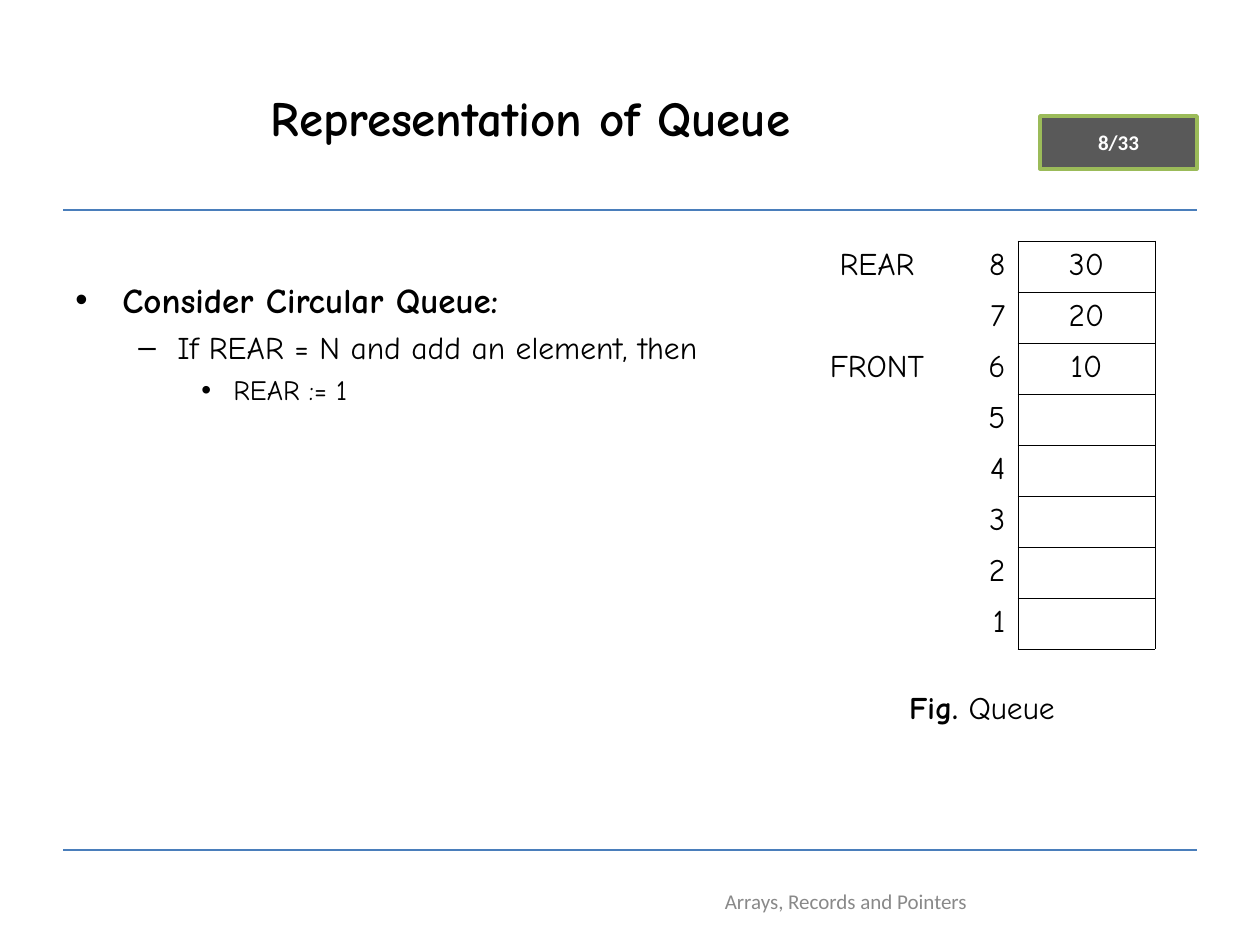
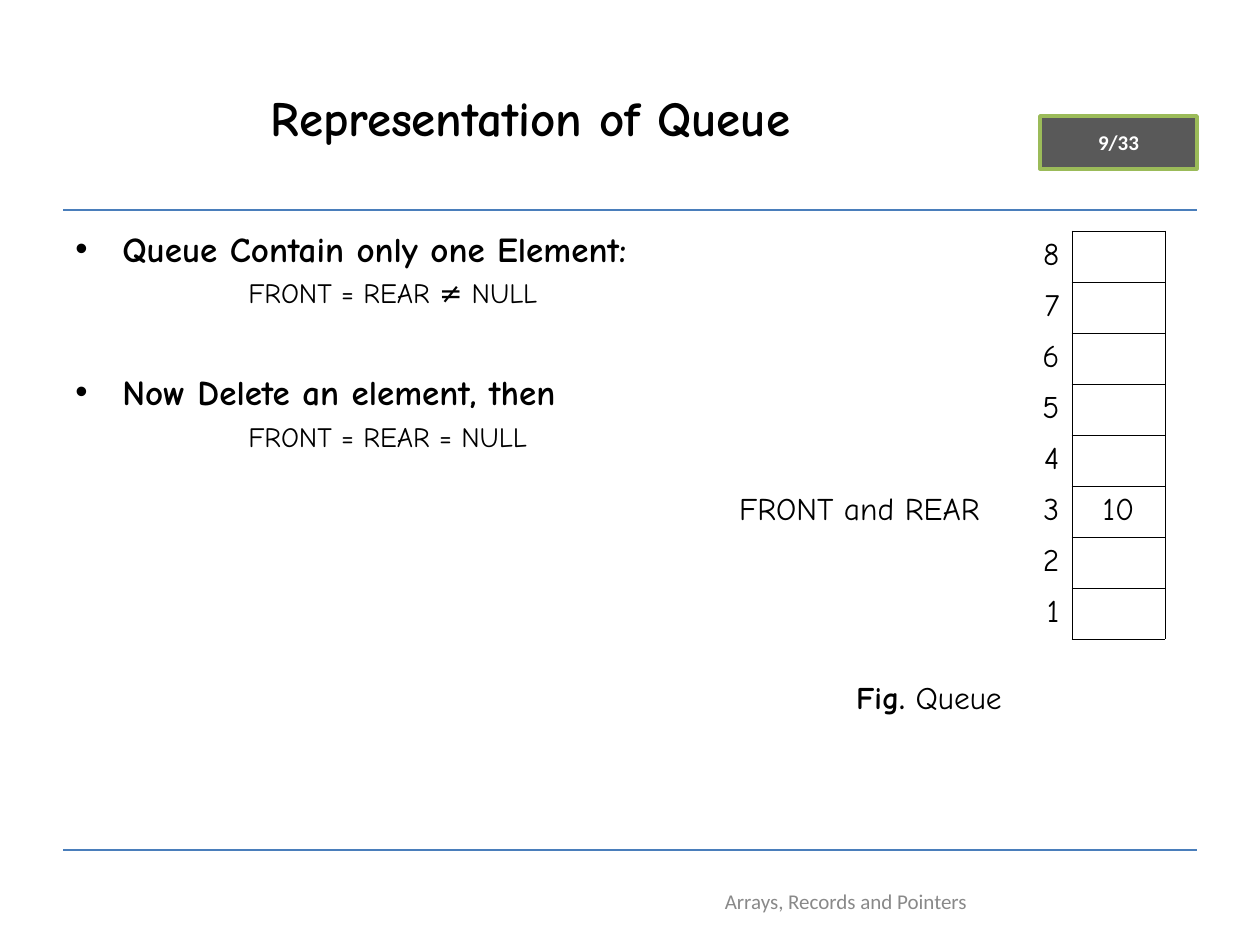
import pptx
import pptx.dml.color
import pptx.enum.shapes
import pptx.enum.text
import pptx.oxml.ns
import pptx.util
from lxml import etree

PAGE = (1260, 945)
EMU_PER_PX = 914400 / 126
COLORS = {"text": "000000", "rule": "4A7EBB", "badge": "595959",
          "badge_edge": "9BBB59", "badge_text": "FFFFFF", "footer": "898989"}
HAND, PLAIN = "Comic Neue", "Calibri"

TITLE = "Representation of Queue"
FOOTER = "Arrays, Records and Pointers"
CAPTION = [("Fig.", True), (" Queue", False)]
TOTAL = 33
RULE_YS = (210, 850)
RULE_XS = (63, 1197)
SLOTS = 8
ROW_HEIGHT, CAPTION_HEIGHT, CAPTION_INSET = 51, 88, 42
NO_GRID = "{2D5ABB26-0587-4C30-8999-92F81FD0307C}"

STYLES = {
    "topic": {"level": 0, "margin": 47, "indent": -47, "bullet": "•", "size": 20, "bold": True, "before": 5},
    "rule": {"level": 1, "margin": 102, "indent": -39, "bullet": "–", "size": 18, "bold": False, "before": 4.5},
    "step": {"level": 2, "margin": 158, "indent": -32, "bullet": "•", "size": 16, "bold": False, "before": 4},
    "state": {"level": 3, "margin": 236, "indent": -63, "bullet": None, "size": 16, "bold": False, "before": 4},
}
STYLES["next_topic"] = {**STYLES["topic"], "before": 35}

PAGES = [
    {"number": 8, "top_inset": 57,
     "points": [("topic", "Consider Circular Queue:"),
                ("rule", "If REAR = N and add an element, then"),
                ("step", "REAR := 1")],
     "queue": {"at": (809, 241), "columns": (136, 73, 137),
               "values": {8: "30", 7: "20", 6: "10"},
               "pointers": {8: "REAR", 6: "FRONT"}}},
    {"number": 9, "top_inset": 6,
     "points": [("topic", "Queue Contain only one Element:"),
                ("state", "FRONT = REAR ≠ NULL"),
                ("next_topic", "Now Delete an element, then"),
                ("state", "FRONT = REAR = NULL")],
     "queue": {"at": (693, 231), "columns": (333, 46, 93),
               "values": {3: "10"},
               "pointers": {3: "FRONT and REAR"}}},
]

ALIGN = pptx.enum.text.PP_ALIGN
MIDDLE = pptx.enum.text.MSO_ANCHOR.MIDDLE


def px(*lengths):
    return [pptx.util.Emu(round(length * EMU_PER_PX)) for length in lengths]


def rgb(name):
    return pptx.dml.color.RGBColor.from_string(COLORS[name])


def sub(parent, tag, **attributes):
    return etree.SubElement(parent, pptx.oxml.ns.qn(tag), attributes)


def write(paragraph, text, size, font=HAND, color="text", bold=False, align=ALIGN.CENTER):
    paragraph.alignment = align
    run = paragraph.add_run()
    run.text = text
    run.font.size = pptx.util.Pt(size)
    run.font.name = font
    run.font.bold = bold
    run.font.color.rgb = rgb(color)


def add_frame(slide):
    for y in RULE_YS:
        left, right, height = px(*RULE_XS, y)
        rule = slide.shapes.add_connector(
            pptx.enum.shapes.MSO_CONNECTOR.STRAIGHT, left, height, right, height)
        rule.line.color.rgb = rgb("rule")
        rule.line.width = pptx.util.Pt(0.75)
        sub(rule._element.spPr, "a:effectLst")


def add_badge(slide, number):
    badge = slide.shapes.add_shape(
        pptx.enum.shapes.MSO_SHAPE.RECTANGLE, *px(1040, 116, 157, 53))
    badge.shadow.inherit = False
    badge.fill.solid()
    badge.fill.fore_color.rgb = rgb("badge")
    badge.line.color.rgb = rgb("badge_edge")
    badge.line.width = pptx.util.Pt(2)
    badge.text_frame.vertical_anchor = MIDDLE
    write(badge.text_frame.paragraphs[0], f"{number}/{TOTAL}", 12, PLAIN, "badge_text", True)


def add_title(slide):
    title = slide.shapes.title
    title.left, title.top, title.width, title.height = px(63, 38, 935, 157)
    title.text_frame.vertical_anchor = MIDDLE
    write(title.text_frame.paragraphs[0], TITLE, 28, bold=True)


def add_footer(slide):
    footer = slide.shapes.add_textbox(*px(662, 876, 368, 50)).text_frame
    footer.word_wrap = True
    footer.vertical_anchor = MIDDLE
    write(footer.paragraphs[0], FOOTER, 12, PLAIN, "footer")


def add_points(slide, points, top_inset):
    body = slide.shapes.add_textbox(*px(63, 221, 1134, 624)).text_frame
    body.word_wrap = True
    body.margin_top, = px(top_inset)
    for order, (kind, text) in enumerate(points):
        style = STYLES[kind]
        point = body.add_paragraph() if order else body.paragraphs[0]
        point.level = style["level"]
        if order:
            point.space_before = pptx.util.Pt(style["before"])
        properties = point._p.get_or_add_pPr()
        margin, indent = px(style["margin"], style["indent"])
        properties.set("marL", str(margin))
        properties.set("indent", str(indent))
        if style["bullet"]:
            sub(sub(properties, "a:buClr"), "a:srgbClr", val=COLORS["text"])
            sub(properties, "a:buFont", typeface="Arial")
            sub(properties, "a:buChar", char=style["bullet"])
        else:
            sub(properties, "a:buNone")
        write(point, text, style["size"], bold=style["bold"], align=ALIGN.JUSTIFY)


def add_borders(cell, sides):
    properties = cell._tc.get_or_add_tcPr()
    for side in sides:
        edge = sub(properties, f"a:ln{side}", w=str(pptx.util.Pt(0.45)))
        sub(sub(edge, "a:solidFill"), "a:srgbClr", val=COLORS["text"])


def add_queue(slide, at, columns, values, pointers):
    heights = [ROW_HEIGHT] * SLOTS + [CAPTION_HEIGHT]
    queue = slide.shapes.add_table(
        len(heights), len(columns), *px(*at, sum(columns), sum(heights))).table
    queue.first_row = queue.horz_banding = False
    queue._tbl.tblPr.find(pptx.oxml.ns.qn("a:tableStyleId")).text = NO_GRID
    for column, width in zip(queue.columns, px(*columns)):
        column.width = width
    for row, height in zip(queue.rows, px(*heights)):
        row.height = height

    for row in range(SLOTS):
        position = SLOTS - row
        entries = [(pointers.get(position), ALIGN.CENTER, ""),
                   (str(position), ALIGN.RIGHT, "R"),
                   (values.get(position), ALIGN.CENTER, "LRTB" if position > 1 else "LRT")]
        for column, (text, align, sides) in enumerate(entries):
            cell = queue.cell(row, column)
            add_borders(cell, sides)
            if text:
                write(cell.text_frame.paragraphs[0], text, 18, align=align)

    caption = queue.cell(SLOTS, 0)
    caption.merge(queue.cell(SLOTS, len(columns) - 1))
    caption.margin_top, = px(CAPTION_INSET)
    for text, bold in CAPTION:
        write(caption.text_frame.paragraphs[0], text, 18, bold=bold)
    for cell in queue.iter_cells():
        cell.fill.background()


def main():
    deck = pptx.Presentation()
    deck.slide_width, deck.slide_height = px(*PAGE)
    for page in PAGES:
        slide = deck.slides.add_slide(deck.slide_layouts[5])
        add_frame(slide)
        add_badge(slide, page["number"])
        add_title(slide)
        add_points(slide, page["points"], page["top_inset"])
        add_footer(slide)
        add_queue(slide, **page["queue"])
    deck.save("out.pptx")


if __name__ == "__main__":
    main()
